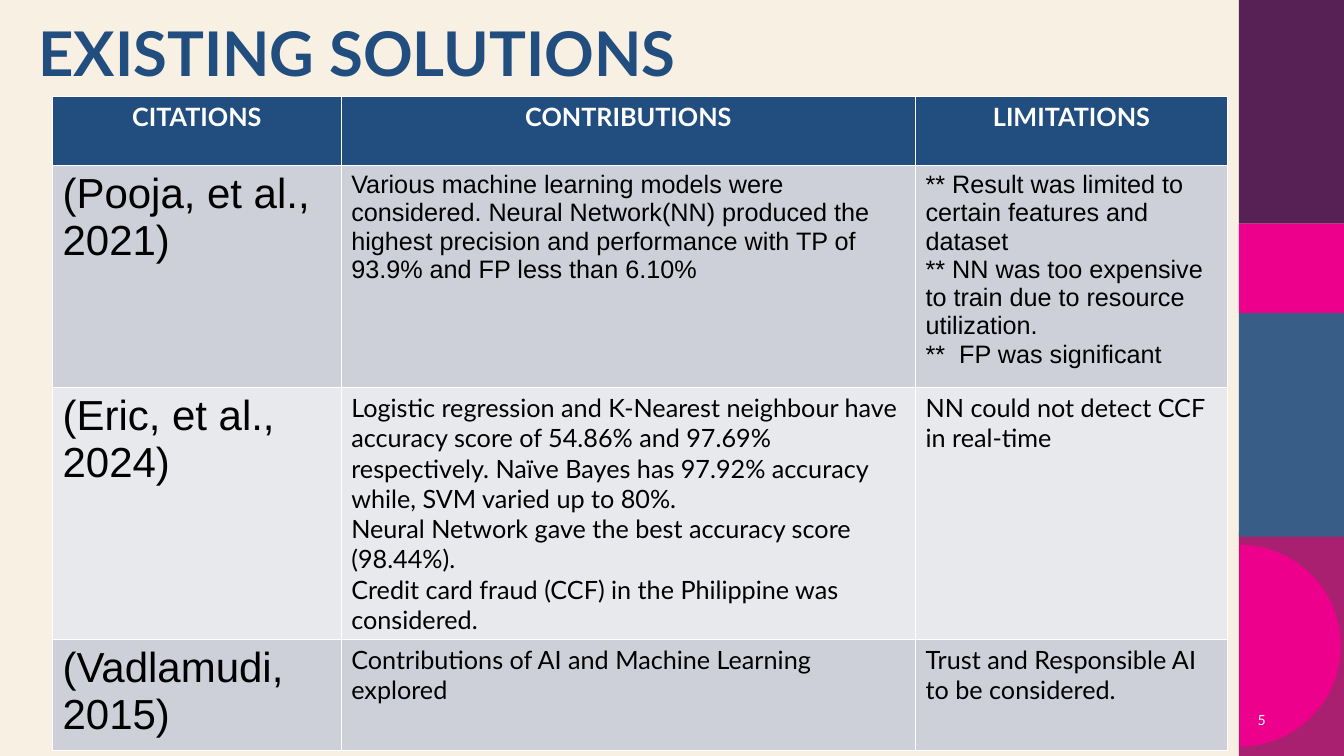
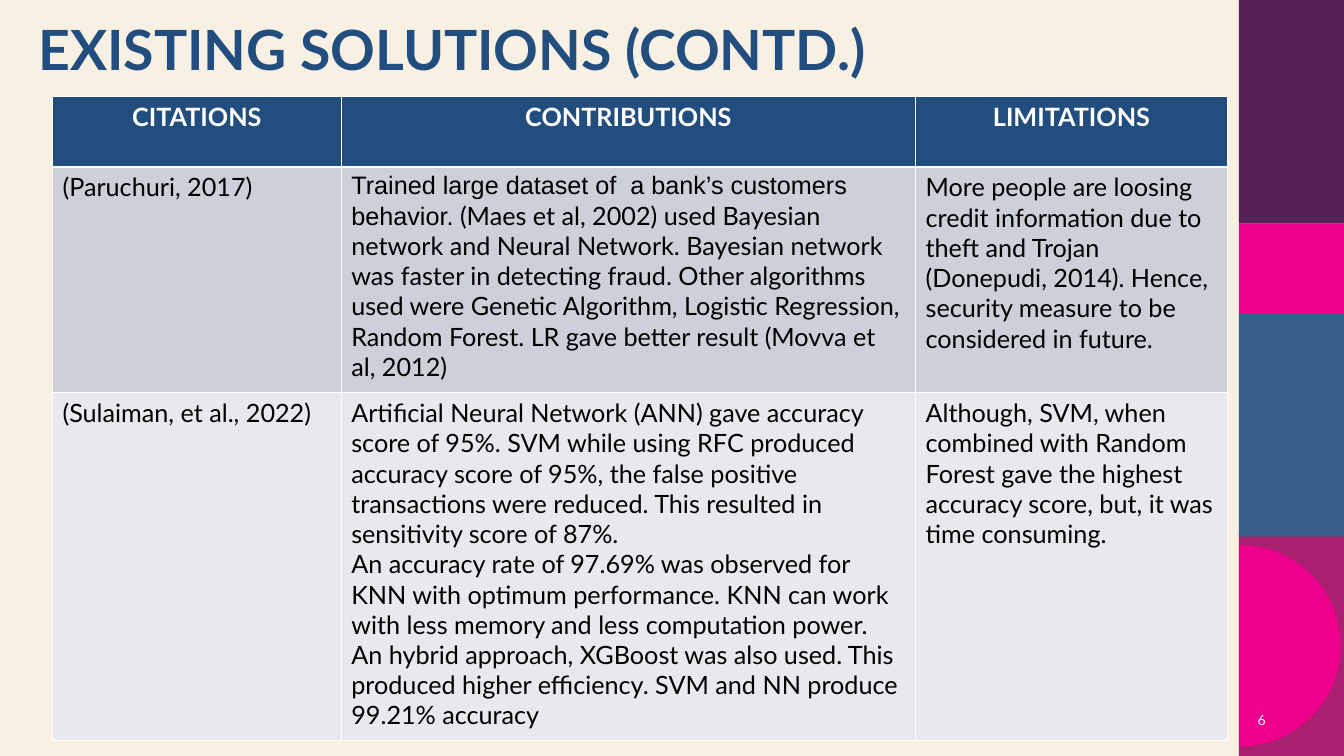
import math

from pptx import Presentation
from pptx import util as u
from pptx.dml.color import RGBColor
from pptx.enum import shapes, text

PX = 9525  # EMU per px, 96 px to the inch
COLORS = {
    "cream": "F8F0E3",
    "navy": "224E7F",
    "white": "FFFFFF",
    "black": "000000",
    "row_dark": "CDD0D8",
    "row_light": "E8E9EC",
    "magenta": "AA2070",
    "blue": "385E88",
    "purple": "582156",
    "pink": "EC008C",
}

# Text formats
LATO = {"name": "Lato", "size": 18, "bold": False, "color": "black"}
ARIAL = {**LATO, "name": "Arial"}
ARIAL_LARGE = {**ARIAL, "size": 30}
HEADER = {**LATO, "bold": True, "color": "white"}
TITLE = {**LATO, "bold": True, "color": "navy"}
NUMBER = {**LATO, "size": 10, "color": "white"}

# Side bands, back to front: top, height, colour
BAND_LEFT, BAND_WIDTH = 1180, 100
BANDS = [
    (507, 213, "magenta"),
    (298, 213, "blue"),
    (0, 213, "purple"),
    (213, 85, "pink"),
]
DISC_X, DISC_Y, DISC_RADIUS = 1181, 615, 96

# Tables: a cell is a list of (format, text) runs; a newline starts a paragraph
TABLE_LEFT, TABLE_TOP = 50, 92
COLUMN_WIDTHS = [275, 547, 297]
HEADINGS = ["CITATIONS", "CONTRIBUTIONS", "LIMITATIONS"]
SLIDES = [
    {
        "title": "EXISTING SOLUTIONS",
        "title_size": 44,
        "title_width": 753,
        "number": "5",
        "row_heights": [66, 198, 240, 102],
        "rows": [
            [
                [(ARIAL_LARGE, "(Pooja, et al., 2021)")],
                [(ARIAL, "Various machine learning models were considered. "
                         "Neural Network(NN) produced the highest precision and "
                         "performance with TP of 93.9% and FP less than 6.10%")],
                [(ARIAL, "** Result was limited to certain features and dataset\n"
                         "** NN was too expensive to train due to resource utilization.\n"
                         "**  FP was significant")],
            ],
            [
                [(ARIAL_LARGE, "(Eric, et al., 2024)")],
                [(LATO, "Logistic regression and K-Nearest neighbour have accuracy "
                        "score of 54.86% and 97.69% respectively. Naïve Bayes has "
                        "97.92% accuracy while, SVM varied up to 80%.\n"
                        "Neural Network gave the best accuracy score (98.44%).\n"
                        "Credit card fraud (CCF) in the Philippine was considered.")],
                [(LATO, "NN could not detect CCF in real-time")],
            ],
            [
                [(ARIAL_LARGE, "(Vadlamudi, 2015)")],
                [(LATO, "Contributions of AI and Machine Learning explored")],
                [(LATO, "Trust and Responsible AI to be considered.")],
            ],
        ],
    },
    {
        "title": "EXISTING SOLUTIONS (CONTD.)",
        "title_size": 39.6,
        "title_width": 858,
        "number": "6",
        "row_heights": [67, 215, 331],
        "rows": [
            [
                [(LATO, "(Paruchuri, 2017)")],
                [(ARIAL, "Trained large dataset of  a bank’s customers behavior."),
                 (LATO, " (Maes et al, 2002) used Bayesian network and Neural "
                        "Network. Bayesian network was faster in detecting fraud. "
                        "Other algorithms used were Genetic Algorithm, Logistic "
                        "Regression, Random Forest. LR gave better result "
                        "(Movva et al, 2012)")],
                [(LATO, "More people are loosing credit information due to theft "
                        "and Trojan (Donepudi, 2014). Hence, security measure to "
                        "be considered in future.")],
            ],
            [
                [(LATO, "(Sulaiman, et al., 2022)")],
                [(LATO, "Artificial Neural Network (ANN) gave accuracy score of "
                        "95%. SVM while using RFC produced accuracy score of 95%, "
                        "the false positive transactions were reduced. This "
                        "resulted in sensitivity score of 87%.\n"
                        "An accuracy rate of 97.69% was observed for KNN with "
                        "optimum performance. KNN can work with less memory and "
                        "less computation power.\n"
                        "An hybrid approach, XGBoost was also used. This produced "
                        "higher efficiency. SVM and NN produce 99.21% accuracy")],
                [(LATO, "Although, SVM, when combined with Random Forest gave the "
                        "highest accuracy score, but, it was time consuming.")],
            ],
        ],
    },
]


def paint(fill, color):
    fill.solid()
    fill.fore_color.rgb = RGBColor.from_string(COLORS[color])


def write(frame, runs, align):
    paragraph = frame.paragraphs[0]
    for style, content in runs:
        for index, line in enumerate(content.split("\n")):
            if index:
                paragraph = frame.add_paragraph()
            paragraph.alignment = align
            run = paragraph.add_run()
            run.text = line
            values = {"name": style["name"], "size": u.Pt(style["size"]),
                      "bold": style["bold"]}
            for attribute, value in values.items():
                setattr(run.font, attribute, value)
            run.font.color.rgb = RGBColor.from_string(COLORS[style["color"]])


presentation = Presentation()
presentation.slide_width = 1280 * PX
presentation.slide_height = 720 * PX
layout = presentation.slide_layouts[5]
paint(layout.background.fill, "cream")
slides = [presentation.slides.add_slide(layout) for _ in SLIDES]

# Side bands and half disc, drawn once and moved to the shared layout
canvas = slides[0].shapes
decorations = []
for top, height, color in BANDS:
    band = canvas.add_shape(shapes.MSO_SHAPE.RECTANGLE, BAND_LEFT * PX, top * PX,
                            BAND_WIDTH * PX, height * PX)
    decorations.append((band, color))

arc = []
for degrees in range(-90, 91, 3):
    angle = math.radians(degrees)
    arc.append((round((DISC_X + DISC_RADIUS * math.cos(angle)) * PX),
                round((DISC_Y + DISC_RADIUS * math.sin(angle)) * PX)))
builder = canvas.build_freeform(*arc[0])
builder.add_line_segments(arc[1:], close=True)
decorations.append((builder.convert_to_shape(), "pink"))

for shape, color in decorations:
    paint(shape.fill, color)
    shape.line.fill.background()
    shape.shadow.inherit = False
    layout.shapes.element.append(shape.element)

for slide, content in zip(slides, SLIDES):
    # Title
    title = slide.shapes.title
    place = {"left": 27, "top": 17, "width": content["title_width"], "height": 92}
    for attribute, value in place.items():
        setattr(title, attribute, value * PX)
    title.text_frame.auto_size = text.MSO_AUTO_SIZE.NONE
    title.text_frame.vertical_anchor = text.MSO_ANCHOR.TOP
    write(title.text_frame,
          [({**TITLE, "size": content["title_size"]}, content["title"])],
          text.PP_ALIGN.LEFT)
    title.text_frame.paragraphs[0].line_spacing = 0.9

    # Slide number
    number = slide.shapes.add_textbox(1167 * PX, 667 * PX, 48 * PX, 38 * PX)
    number.text_frame.word_wrap = True
    number.text_frame.vertical_anchor = text.MSO_ANCHOR.MIDDLE
    write(number.text_frame, [(NUMBER, content["number"])], text.PP_ALIGN.RIGHT)

    # Table
    heights = content["row_heights"]
    table = slide.shapes.add_table(
        len(heights), len(COLUMN_WIDTHS), TABLE_LEFT * PX, TABLE_TOP * PX,
        sum(COLUMN_WIDTHS) * PX, sum(heights) * PX).table
    for column, width in zip(table.columns, COLUMN_WIDTHS):
        column.width = width * PX
    heading_row = [[(HEADER, heading)] for heading in HEADINGS]
    for row_index, row in enumerate([heading_row] + content["rows"]):
        table.rows[row_index].height = heights[row_index] * PX
        if row_index == 0:
            color, align = "navy", text.PP_ALIGN.CENTER
        else:
            color = "row_dark" if row_index % 2 else "row_light"
            align = text.PP_ALIGN.LEFT
        for column_index, runs in enumerate(row):
            cell = table.cell(row_index, column_index)
            paint(cell.fill, color)
            write(cell.text_frame, runs, align)

presentation.save("out.pptx")
